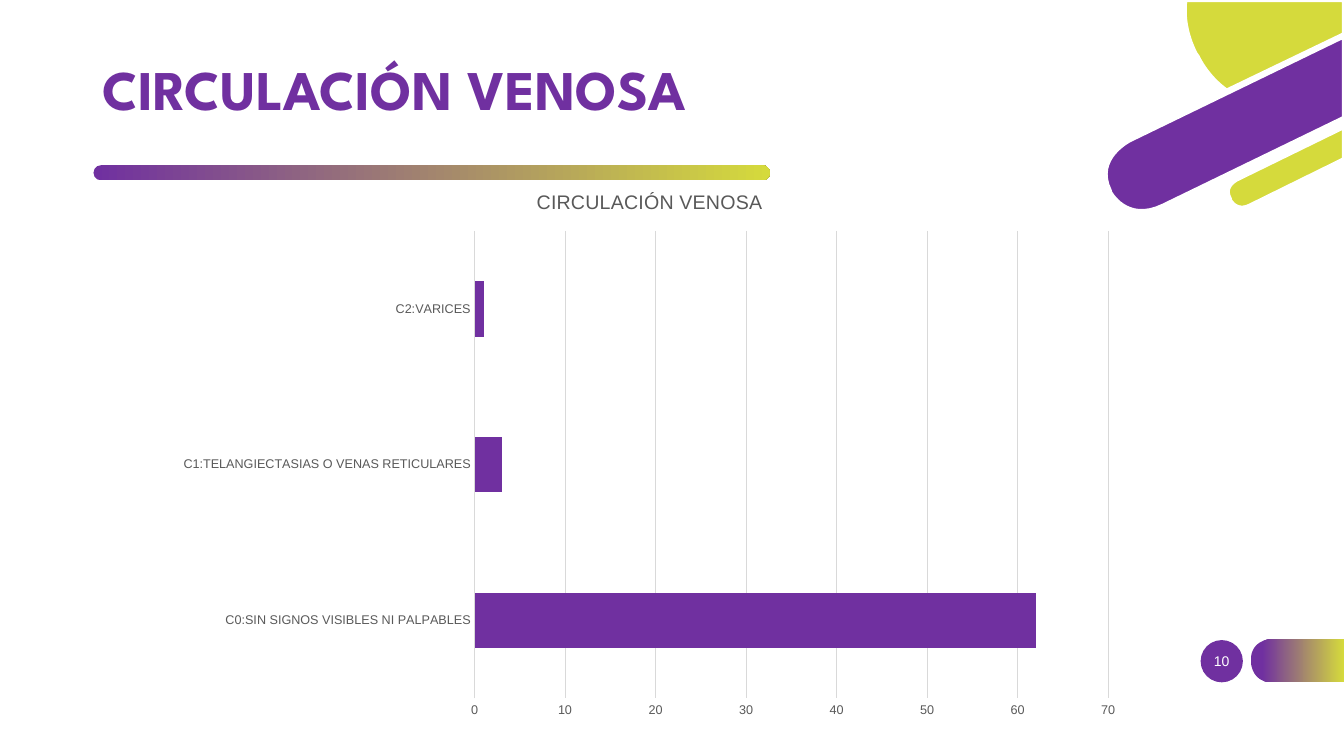
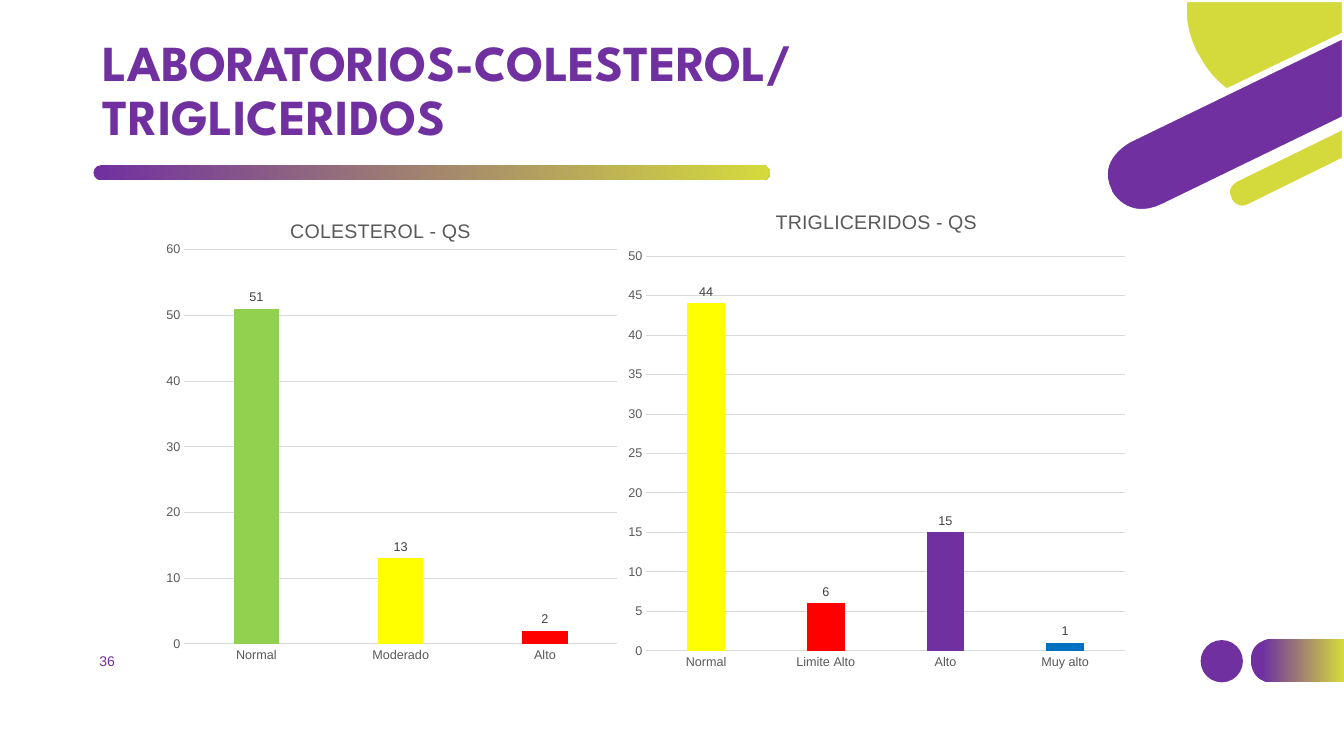
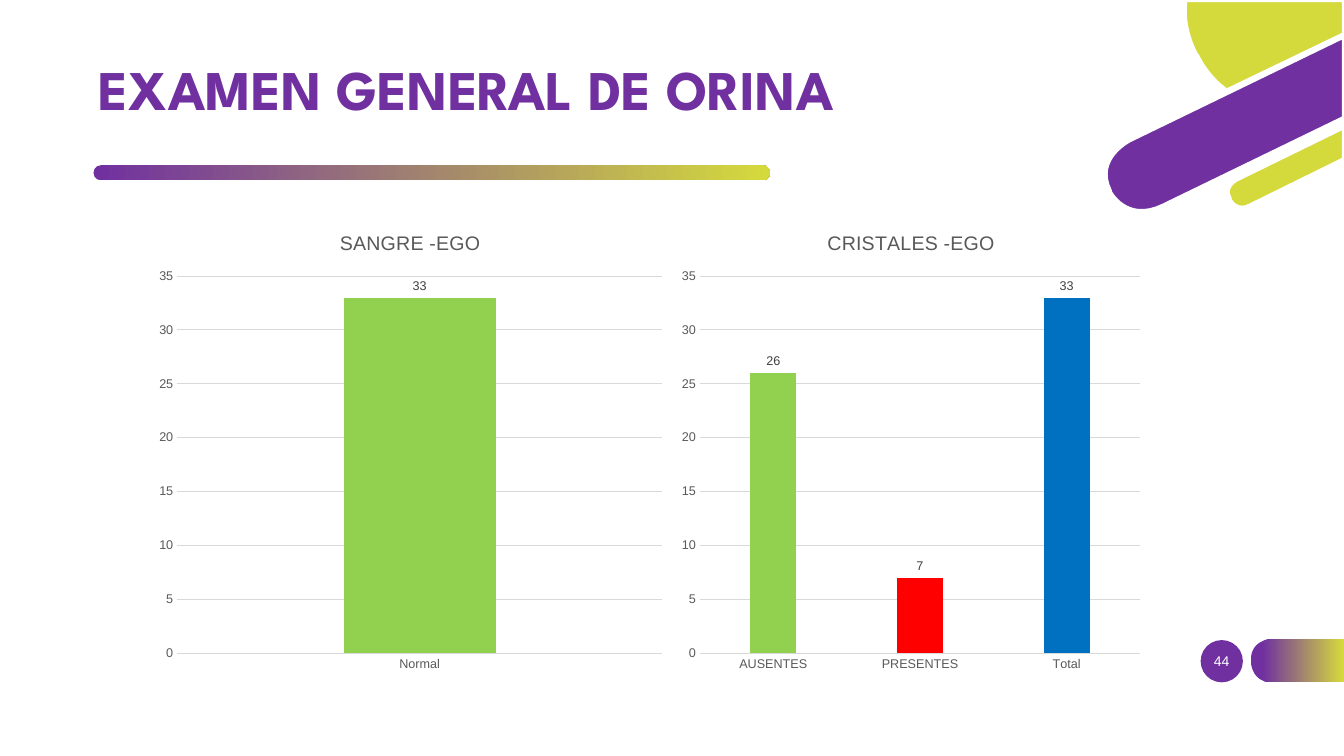
from lxml.etree import SubElement
from pptx import Presentation
from pptx.chart.data import CategoryChartData
from pptx.dml.color import RGBColor
from pptx.enum.chart import XL_CHART_TYPE, XL_LABEL_POSITION, XL_TICK_MARK
from pptx.enum.shapes import MSO_SHAPE
from pptx.enum.text import MSO_ANCHOR, MSO_AUTO_SIZE, PP_ALIGN
from pptx.oxml.ns import qn
from pptx.util import Pt

PURPLE = RGBColor(0x70, 0x30, 0xA0)
LIME = RGBColor(0xD5, 0xDA, 0x3C)
WHITE = RGBColor(0xFF, 0xFF, 0xFF)
GREEN = RGBColor(0x92, 0xD0, 0x50)
YELLOW = RGBColor(0xFF, 0xFF, 0x00)
RED = RGBColor(0xFF, 0x00, 0x00)
BLUE = RGBColor(0x00, 0x70, 0xC0)
AXIS_TEXT = RGBColor(0x59, 0x59, 0x59)
LABEL_TEXT = RGBColor(0x40, 0x40, 0x40)
GRID = RGBColor(0xD9, 0xD9, 0xD9)
BODY_FONT = "Arial"
TITLE_FONT = "League Spartan"

LIME_DISC = [(855.4, 40.3), (855.4, 40.3, 861.8, 54.7, 876.2, 64.8),
             (960, 24.5), (960, 0), (846.7, 0),
             (845.3, 10.8, 846.7, 23.8, 853.9, 38.2)]
PURPLE_BAND = [(807.1, 100.1), (807.1, 100.1, 781.2, 113, 792.7, 136.1),
               (792.7, 136.8), (792.7, 136.8, 804.2, 159.8, 830.9, 146.9),
               (960, 84.2), (960, 25.9)]
LIME_BAND = [(960, 90.7), (883.4, 128.2),
             (883.4, 128.2, 873.4, 133.2, 878.4, 141.8), (878.4, 142.6),
             (878.4, 142.6, 882.7, 151.9, 892.8, 146.9), (960, 113.8)]
FOOTER_TAB = [(908.6, 487.4), (960, 487.4), (960, 456.5), (908.6, 456.5),
              (908.6, 456.5, 893.5, 456.5, 893.5, 471.6), (893.5, 472.3),
              (893.5, 472.3, 893.5, 487.4, 908.6, 487.4)]


def trace(steps, pieces=16):
    points = [steps[0]]
    for step in steps[1:]:
        if len(step) == 2:
            points.append(step)
            continue
        start, controls = points[-1], (step[:2], step[2:4], step[4:])
        for piece in range(1, pieces + 1):
            t = piece / pieces
            weights = ((1 - t) ** 3, 3 * t * (1 - t) ** 2, 3 * t * t * (1 - t), t ** 3)
            points.append(tuple(sum(w * p[axis] for w, p in zip(weights, (start, *controls)))
                                for axis in (0, 1)))
    return [(Pt(x), Pt(y)) for x, y in points]


class Deck:
    def __init__(self):
        self.prs = Presentation()
        self.prs.slide_width, self.prs.slide_height = Pt(960), Pt(540)
        self.slide = None

    def new_slide(self, title, size, left=66.2):
        self.slide = self.prs.slides.add_slide(self.prs.slide_layouts[5])
        self.decoration()
        self.title(title, size, left)

    def style(self, font, size, color):
        font.name, font.size = BODY_FONT, Pt(size)
        font.color.rgb = color

    def gradient(self, fill, start=0):
        fill.gradient()
        fill.gradient_angle = 0
        for stop, position, color in zip(fill.gradient_stops, (start, 1), (PURPLE, LIME)):
            stop.position = position
            stop.color.rgb = color

    def paint(self, shape, color=None, start=0):
        shape.shadow.inherit = False
        shape.line.fill.background()
        if color is None:
            self.gradient(shape.fill, start)
        else:
            shape.fill.solid()
            shape.fill.fore_color.rgb = color

    def outline(self, steps, color=None, start=0):
        points = trace(steps)
        builder = self.slide.shapes.build_freeform(*points[0], scale=1.0)
        builder.add_line_segments(points[1:], close=True)
        shape = builder.convert_to_shape()
        self.paint(shape, color, start)
        return shape

    def preset(self, kind, left, top, width, height, color=None):
        shape = self.slide.shapes.add_shape(kind, Pt(left), Pt(top), Pt(width), Pt(height))
        self.paint(shape, color)
        return shape

    def decoration(self):
        for steps, color in ((LIME_DISC, LIME), (PURPLE_BAND, PURPLE), (LIME_BAND, LIME)):
            ornament = self.outline(steps, color)
            ornament.line.color.rgb = WHITE
            ornament.line.width = Pt(3)
        self.outline(FOOTER_TAB, start=0.12)
        self.preset(MSO_SHAPE.OVAL, 857.6, 457.2, 30.2, 30.2, PURPLE)
        underline = self.preset(MSO_SHAPE.ROUNDED_RECTANGLE, 66.8, 118, 483.2, 10.8)
        underline.adjustments[0] = 0.5

    def title(self, text, size, left):
        holder = self.slide.shapes.title
        holder.left, holder.top, holder.width, holder.height = Pt(left), Pt(28.8), Pt(712.8), Pt(74.2)
        frame = holder.text_frame
        frame.word_wrap = True
        frame.auto_size = MSO_AUTO_SIZE.NONE
        frame.vertical_anchor = MSO_ANCHOR.MIDDLE
        paragraph = frame.paragraphs[0]
        paragraph.alignment = PP_ALIGN.LEFT
        paragraph.line_spacing = 0.9
        run = paragraph.add_run()
        run.text = text
        run.font.name, run.font.size, run.font.bold = TITLE_FONT, Pt(size), True
        self.gradient(run.font.fill)

    def number(self, text, left=851, width=43.2, color=WHITE, align=PP_ALIGN.CENTER):
        frame = self.slide.shapes.add_textbox(Pt(left), Pt(457.6), Pt(width), Pt(28.8)).text_frame
        frame.word_wrap = True
        frame.vertical_anchor = MSO_ANCHOR.MIDDLE
        paragraph = frame.paragraphs[0]
        paragraph.alignment = align
        run = paragraph.add_run()
        run.text = text
        self.style(run.font, 10, color)

    def chart(self, title, bars, frame, plot, horizontal=False):
        data = CategoryChartData()
        data.categories = [name for name, value, color in bars]
        data.add_series("Series 1", [value for name, value, color in bars])
        kind = XL_CHART_TYPE.BAR_CLUSTERED if horizontal else XL_CHART_TYPE.COLUMN_CLUSTERED
        chart = self.slide.shapes.add_chart(kind, *map(Pt, frame), data).chart
        chart.has_legend = False
        chart.font.name, chart.font.size = BODY_FONT, Pt(10)
        self.chart_title(chart, title)
        self.axes(chart)
        self.place_plot(chart, frame, plot)
        bar_plot = chart.plots[0]
        bar_plot.vary_by_categories = False
        bar_plot.gap_width = 182 if horizontal else 219
        series = bar_plot.series[0]
        series.format.fill.solid()
        series.format.fill.fore_color.rgb = PURPLE
        for index, (name, value, color) in enumerate(bars):
            if color != PURPLE:
                fill = series.points[index].format.fill
                fill.solid()
                fill.fore_color.rgb = color
        if not horizontal:
            bar_plot.overlap = -27
            labels = series.data_labels
            labels.show_value = True
            labels.position = XL_LABEL_POSITION.OUTSIDE_END
            self.style(labels.font, 9, LABEL_TEXT)

    def chart_title(self, chart, text):
        chart.has_title = True
        chart.chart_title.include_in_layout = False
        run = chart.chart_title.text_frame.paragraphs[0].add_run()
        run.text = text
        self.style(run.font, 14, AXIS_TEXT)
        run.font.bold = False

    def axes(self, chart):
        for axis in (chart.category_axis, chart.value_axis):
            axis.major_tick_mark = axis.minor_tick_mark = XL_TICK_MARK.NONE
            self.style(axis.tick_labels.font, 9, AXIS_TEXT)
        chart.value_axis.format.line.fill.background()
        chart.value_axis.has_major_gridlines = True
        for line in (chart.category_axis.format.line, chart.value_axis.major_gridlines.format.line):
            line.color.rgb = GRID
            line.width = Pt(0.75)

    def place_plot(self, chart, frame, plot):
        left, top, width, height = frame
        plot_left, plot_top, plot_right, plot_bottom = plot
        area = chart.plots[0]._element.getparent()
        layout = area.find(qn("c:layout"))
        if layout is None:
            layout = SubElement(area, qn("c:layout"))
            area.insert(0, layout)
        manual = SubElement(layout, qn("c:manualLayout"))
        for tag, value in (("layoutTarget", "inner"), ("xMode", "edge"), ("yMode", "edge"),
                           ("x", (plot_left - left) / width), ("y", (plot_top - top) / height),
                           ("w", (plot_right - plot_left) / width),
                           ("h", (plot_bottom - plot_top) / height)):
            SubElement(manual, qn("c:" + tag)).set("val", str(value))


def main():
    deck = Deck()

    deck.new_slide("CIRCULACIÓN VENOSA", 40)
    deck.number("10")
    deck.chart("CIRCULACIÓN VENOSA",
               [("C0:SIN SIGNOS VISIBLES NI PALPABLES", 62, PURPLE),
                ("C1:TELANGIECTASIAS O VENAS RETICULARES", 3, PURPLE),
                ("C2:VARICES", 1, PURPLE)],
               (117.4, 121, 693.4, 398.9), (339, 165, 791.6, 499), horizontal=True)

    deck.new_slide("LABORATORIOS-COLESTEROL/TRIGLICERIDOS", 36)
    deck.number("36", 64, 324, PURPLE, PP_ALIGN.LEFT)
    deck.chart("COLESTEROL - QS",
               [("Normal", 51, GREEN), ("Moderado", 13, YELLOW), ("Alto", 2, RED)],
               (87.1, 142.6, 369.4, 342.7), (131.6, 178.4, 440.8, 460))
    deck.chart("TRIGLICERIDOS - QS",
               [("Normal", 44, YELLOW), ("Limite Alto", 6, RED),
                ("Alto", 15, PURPLE), ("Muy alto", 1, BLUE)],
               (441.4, 136.1, 369.4, 349.2), (461.6, 183, 803.6, 465))

    deck.new_slide("EXAMEN GENERAL DE ORINA", 40, 63.4)
    deck.number("44")
    deck.chart("SANGRE -EGO", [("Normal", 33, GREEN)],
               (105.8, 151.2, 374.4, 335.5), (126.6, 197.2, 473, 466.6))
    deck.chart("CRISTALES -EGO",
               [("AUSENTES", 26, GREEN), ("PRESENTES", 7, RED), ("Total", 33, BLUE)],
               (480.2, 151.2, 341.3, 335.5), (500, 197.2, 814.4, 466.6))

    deck.prs.save("out.pptx")


if __name__ == "__main__":
    main()
